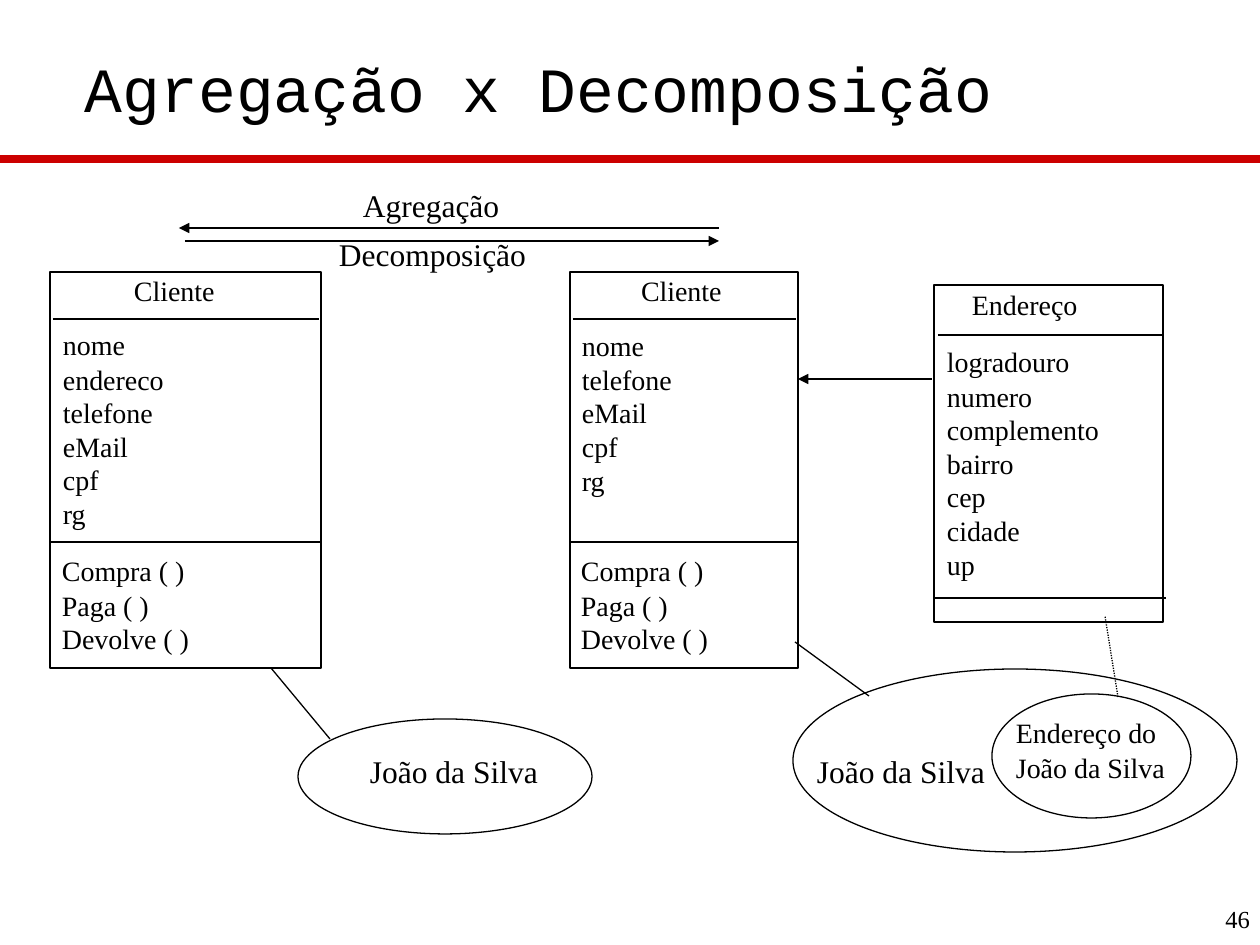
from pptx import Presentation
from pptx.dml.color import RGBColor
from pptx.enum.dml import MSO_LINE
from pptx.enum.shapes import MSO_CONNECTOR, MSO_SHAPE
from pptx.enum.text import MSO_ANCHOR, PP_ALIGN
from pptx.oxml.ns import qn
from pptx.util import Emu, Pt
from lxml.etree import SubElement

SERIF, MONO = "Times New Roman", "Courier New"
BLACK, WHITE, RED = "000000", "FFFFFF", "CC0000"

# Content: lengths in px, 126 to the inch
TITLE = "Agregação x Decomposição"
METHODS = ["Compra ( )", "Paga ( )", "Devolve ( )"]
# Box, name and its place, heading rule, attributes and place, methods rule, methods
CLASSES = [
    dict(box=(50, 272, 271, 396), name="Cliente", name_at=(134, 276),
         rules=[(53, 319, 319), (50, 322, 542)], attrs_at=(63, 331),
         attrs=["nome", "endereco", "telefone", "eMail", "cpf", "rg"],
         methods_at=(62, 557), methods=METHODS),
    dict(box=(570, 272, 228, 396), name="Cliente", name_at=(641, 276),
         rules=[(573, 796, 319), (570, 799, 542)], attrs_at=(582, 331),
         attrs=["nome", "telefone", "eMail", "cpf", "rg"],
         methods_at=(581, 557), methods=METHODS),
    dict(box=(934, 285, 229, 337), name="Endereço", name_at=(972, 291),
         rules=[(938, 1163, 335), (935, 1166, 598)], attrs_at=(947, 348),
         attrs=["logradouro", "numero", "complemento", "bairro", "cep",
                "cidade", "up"],
         methods_at=None, methods=[]),
]
OBJECTS = [(298, 719, 294, 115), (793, 669, 444, 183), (992, 694, 199, 124)]
# Lines of text, left, top, size
LABELS = [
    (["Agregação"], 363, 189, 18),
    (["Decomposição"], 339, 238, 18),
    (["João da Silva"], 370, 755, 18),
    (["João da Silva"], 817, 755, 18),
    (["Endereço do", "João da Silva"], 1016, 719, 16),
]
# Start, end, arrow at the end, dotted
LINKS = [
    (719, 228, 179, 228, True, False),
    (185, 241, 719, 241, True, False),
    (932, 379, 798, 379, True, False),
    (330, 739, 271, 668, False, False),
    (869, 696, 795, 642, False, False),
    (1118, 697, 1105, 616, False, True),
]


def px(n):
    return Emu(round(n * 914400 / 126))


def color(hex_code):
    return RGBColor.from_string(hex_code)


def style(p, size, font):
    for r in p.runs:
        r.font.size, r.font.name = Pt(size), font
        r.font.color.rgb = color(BLACK)


def clear_margins(tf):
    tf.margin_left = tf.margin_right = tf.margin_top = tf.margin_bottom = 0


def add_text(s, lines, x, y, size, w=200, align=PP_ALIGN.LEFT):
    tf = s.shapes.add_textbox(px(x), px(y), px(w), px(34 * len(lines))).text_frame
    tf.word_wrap = True
    clear_margins(tf)
    tf.text = "\n".join(lines)
    for i, p in enumerate(tf.paragraphs):
        p.alignment = align
        p.line_spacing = Pt(19.2) if i else 0.93
        style(p, size, SERIF)


def add_outline(s, kind, box):
    sp = s.shapes.add_shape(kind, *map(px, box))
    sp.shadow.inherit = False
    sp.fill.solid()
    sp.fill.fore_color.rgb = color(WHITE)
    sp.line.color.rgb = color(BLACK)
    sp.line.width = Pt(0.75)


def add_line(s, x1, y1, x2, y2, arrow=False, dotted=False, c=BLACK, width=0.75):
    cn = s.shapes.add_connector(MSO_CONNECTOR.STRAIGHT, *map(px, (x1, y1, x2, y2)))
    cn.line.color.rgb = color(c)
    cn.line.width = Pt(width)
    if dotted:
        cn.line.dash_style = MSO_LINE.ROUND_DOT
    if arrow:
        SubElement(cn.line._get_or_add_ln(), qn("a:tailEnd"), type="triangle")
    SubElement(cn._element.spPr, qn("a:effectLst"))


def add_class(s, c):
    add_outline(s, MSO_SHAPE.RECTANGLE, c["box"])
    for x1, x2, y in c["rules"]:
        add_line(s, x1, y, x2, y)
    add_text(s, [c["name"]], *c["name_at"], 16, w=130)
    add_text(s, c["attrs"], *c["attrs_at"], 16)
    if c["methods"]:
        add_text(s, c["methods"], *c["methods_at"], 16)


def main():
    prs = Presentation()
    prs.slide_width, prs.slide_height = px(1260), px(945)
    s = prs.slides.add_slide(prs.slide_layouts[5])

    # Title, red rule and page number
    title = s.shapes.title
    title.left, title.top, title.width, title.height = map(px, (32, 25, 1013, 132))
    tf = title.text_frame
    clear_margins(tf)
    tf.vertical_anchor = MSO_ANCHOR.MIDDLE
    tf.text = TITLE
    p = tf.paragraphs[0]
    p.alignment, p.line_spacing = PP_ALIGN.CENTER, 0.96
    style(p, 36, MONO)
    add_line(s, 0, 159, 1260, 159, c=RED, width=4.5)
    add_text(s, ["46"], 1147, 907, 14, w=103, align=PP_ALIGN.RIGHT)

    # Classes, their objects, links and labels
    for c in CLASSES:
        add_class(s, c)
    for box in OBJECTS:
        add_outline(s, MSO_SHAPE.OVAL, box)
    for link in LINKS:
        add_line(s, *link)
    for label in LABELS:
        add_text(s, *label)

    prs.save("out.pptx")


if __name__ == "__main__":
    main()
